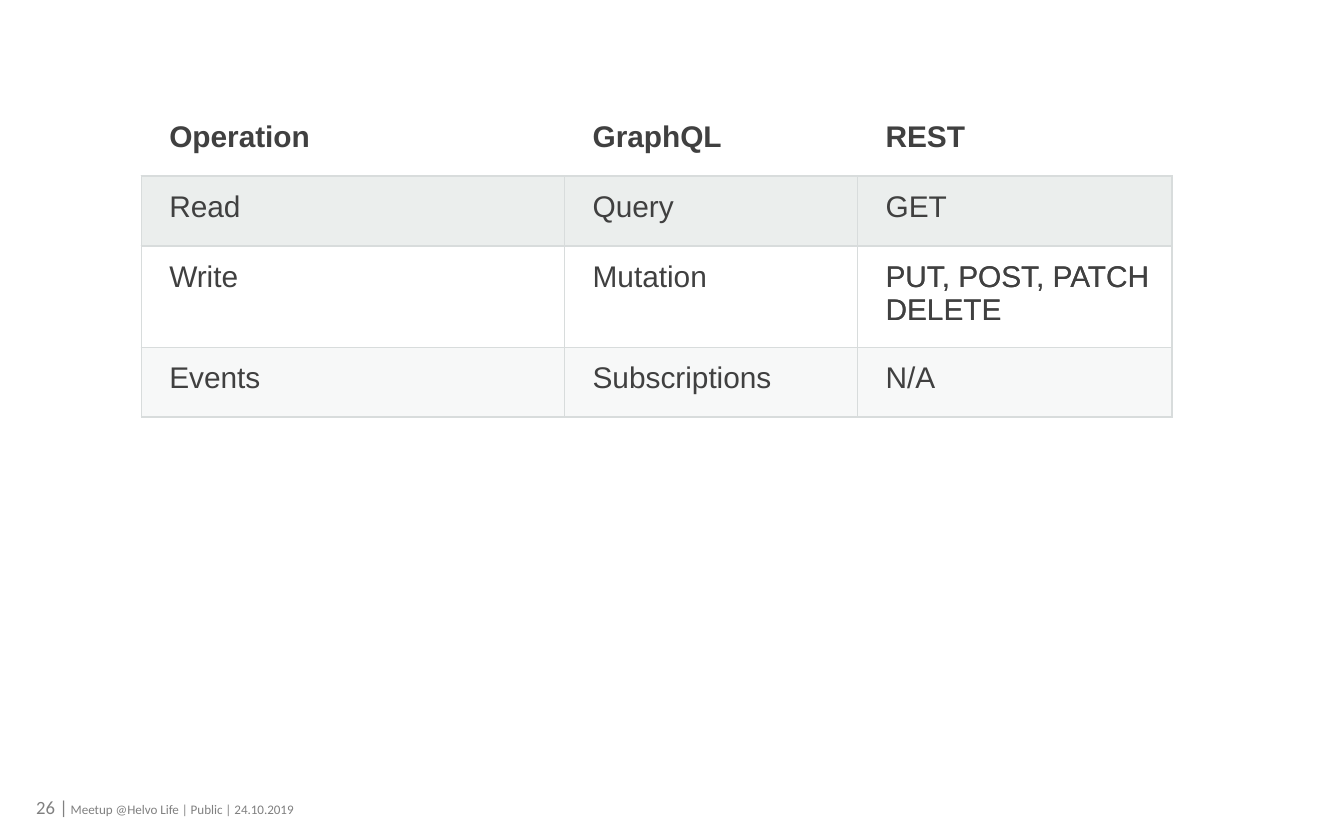
"""Build a slide comparing GraphQL and REST operations, one table per reveal step."""
from lxml import etree
from pptx import Presentation, util as u
from pptx.dml.color import RGBColor
from pptx.enum import text
from pptx.oxml.ns import qn

ROWS = [
    ("Operation", "GraphQL", "REST"),
    ("Read", "Query", "GET"),
    ("Write", "Mutation", "PUT, POST, PATCH DELETE"),
    ("Events", "Subscriptions", "N/A"),
]
WIDTHS = [3.15, 2.18, 2.34]
HEIGHTS = [0.52, 0.52, 0.73, 0.52]
MARGINS = {"margin_left": 0.21, "margin_top": 0.11, "margin_right": 0.11, "margin_bottom": 0.11}
PLAIN_STYLE = "{2D5ABB26-0587-4C30-8999-92F81FD0307C}"
SHADED_ROWS = (1, 3)


def color(value):
    """Return the colour for a hex string."""
    return RGBColor.from_string(value)


def add_span(para, words, ink, **formats):
    """Add formatted words to a paragraph."""
    span = para.add_run()
    span.text = words
    span.font.color.rgb = color(ink)
    for name, value in formats.items():
        setattr(span.font, name, value)


def add_borders(cell, sides):
    """Draw thin grey lines on the given sides of a cell."""
    properties = cell._tc.get_or_add_tcPr()
    for side in sides:
        line = etree.SubElement(properties, qn(f"a:ln{side}"), w=str(u.Pt(0.75)))
        fill = etree.SubElement(line, qn("a:solidFill"))
        etree.SubElement(fill, qn("a:srgbClr"), val="D8DCDC")


def shade(cell):
    """Fill a cell with translucent grey."""
    cell.fill.solid()
    cell.fill.fore_color.rgb = color("D8DEDC")
    tint = cell._tc.tcPr.find(qn("a:solidFill")).find(qn("a:srgbClr"))
    etree.SubElement(tint, qn("a:alpha"), val="20000")


def format_cell(cell, row, words):
    """Set the margins, borders, fill and words of a cell."""
    for name, value in MARGINS.items():
        setattr(cell, name, u.Inches(value))
    add_borders(cell, "LRTB" if row else "B")
    if row in SHADED_ROWS:
        shade(cell)
    else:
        cell.fill.background()
    if words:
        add_span(cell.text_frame.paragraphs[0], words, "404040",
                 name="Arial", size=u.Pt(16), bold=row == 0)


def add_step_table(page, count):
    """Add a table of the first rows, with words in its last row."""
    frame = page.shapes.add_table(count, len(WIDTHS), u.Inches(1.05), u.Inches(0.79),
                                  u.Inches(sum(WIDTHS)), u.Inches(sum(HEIGHTS[:count])))
    table = frame.table
    table.first_row = table.horz_banding = False
    table._tbl.tblPr.find(qn("a:tableStyleId")).text = PLAIN_STYLE
    for column, width in zip(table.columns, WIDTHS):
        column.width = u.Inches(width)
    for row, height in enumerate(HEIGHTS[:count]):
        table.rows[row].height = u.Inches(height)
        for column, words in enumerate(ROWS[row]):
            shown = row == count - 1 or (count, row, column) == (4, 2, 2)
            format_cell(table.cell(row, column), row, words if shown else "")


def add_footer(page):
    """Add the page number and event line."""
    box = page.shapes.add_textbox(u.Inches(0.27), u.Inches(5.88), u.Inches(6.3), u.Inches(0.25))
    frame = box.text_frame
    frame.word_wrap = True
    frame.vertical_anchor = text.MSO_ANCHOR.MIDDLE
    for name in MARGINS:
        setattr(frame, name, 0)
    para = frame.paragraphs[0]
    for words, size in (("26 |", 10), (" Meetup @Helvo Life | Public | 24.10.2019", 7)):
        add_span(para, words, "808080", name="Calibri", size=u.Pt(size))


def main():
    """Build and save the deck."""
    deck = Presentation()
    deck.slide_width, deck.slide_height = u.Inches(10), u.Inches(6.25)
    page = deck.slides.add_slide(deck.slide_layouts[6])
    add_footer(page)
    for count in range(len(ROWS), 0, -1):
        add_step_table(page, count)
    deck.save("out.pptx")


if __name__ == "__main__":
    main()
